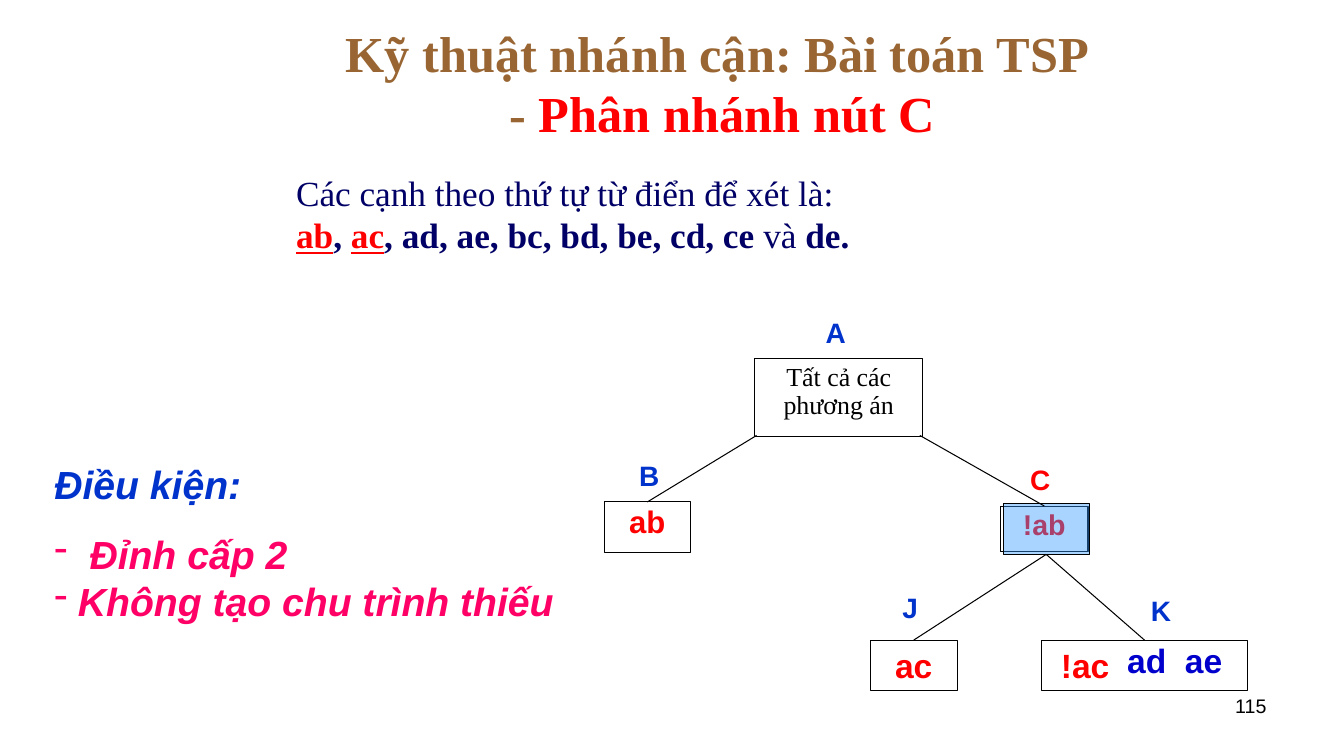
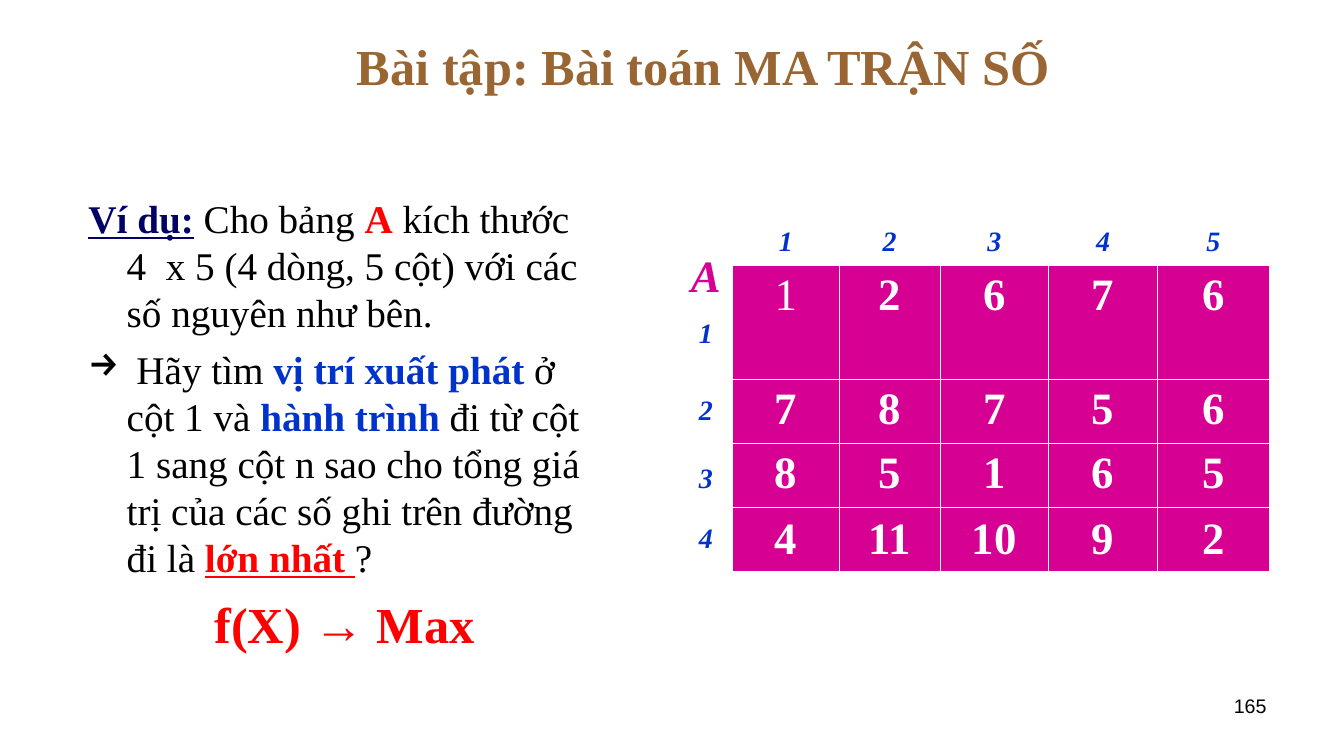
"""Build two lecture slides: a branch-and-bound tree and a number matrix."""
from dataclasses import dataclass, replace
from typing import Any

import lxml.etree
import pptx
import pptx.dml.color
import pptx.enum.shapes
import pptx.enum.text
import pptx.oxml.ns
import pptx.util

WIDTH, HEIGHT = 133.4, 75
UNIT = 0.1
SERIF, SANS = "Times New Roman", "Arial"
BROWN, RED, NAVY, BLUE = "996633", "FF0000", "000066", "0033CC"
BLACK, WHITE, ROSE, PLUM = "000000", "FFFFFF", "FF0066", "D60093"
SKY, DEEP = "3399FF", "0000CC"
ALIGN = pptx.enum.text.PP_ALIGN
ANCHOR = pptx.enum.text.MSO_ANCHOR
INSET = (1, 0.5, 1, 0.5)
Box = tuple[float, float, float, float]


@dataclass(frozen=True)
class Run:
    text: str
    size: float
    color: str = BLACK
    bold: bool = False
    slant: bool = False
    under: bool = False
    font: str = SERIF


@dataclass(frozen=True)
class Para:
    runs: tuple[Run, ...]
    align: Any = ALIGN.LEFT
    before: float = 0
    line: float = 1
    left: float = 0
    hang: float = 0
    mark: str = ""
    tint: str = BLACK


@dataclass(frozen=True)
class Node:
    name: str
    spot: tuple[float, float]
    box: Box
    run: Run
    tint: str = BLUE
    line: float = 0.9
    align: Any = ALIGN.CENTER
    inset: Box = INSET


def grid(count: float) -> int:
    return pptx.util.Inches(count * UNIT)


def shade(code: str) -> pptx.dml.color.RGBColor:
    return pptx.dml.color.RGBColor.from_string(code)


def add(root: Any, tag: str, **attrs: str) -> Any:
    return lxml.etree.SubElement(root, pptx.oxml.ns.qn(tag), **attrs)


def style(run: Any, look: Run) -> None:
    font = run.font
    font.name, font.size = look.font, pptx.util.Pt(look.size)
    font.bold, font.italic, font.underline = look.bold, look.slant, look.under
    font.color.rgb = shade(look.color)


def write(frame: Any, paras: tuple[Para, ...]) -> None:
    for spot, para in enumerate(paras):
        line = frame.add_paragraph() if spot else frame.paragraphs[0]
        props = line._p.get_or_add_pPr()
        props.set("marL", str(grid(para.left)))
        props.set("indent", str(-grid(para.hang)))
        if para.mark:
            add(add(props, "a:buClr"), "a:srgbClr", val=para.tint)
            add(props, "a:buChar", char=para.mark)
        line.alignment, line.line_spacing = para.align, para.line
        if para.before:
            line.space_before = pptx.util.Pt(para.before)
        for look in para.runs:
            for row, text in enumerate(look.text.split("\n")):
                if row:
                    line.add_line_break()
                if text:
                    run = line.add_run()
                    run.text = text
                    style(run, look)


def fit(frame: Any, inset: Box, anchor: Any) -> None:
    frame.word_wrap = True
    frame.vertical_anchor = anchor
    (frame.margin_left, frame.margin_top,
     frame.margin_right, frame.margin_bottom) = map(grid, inset)


def label(slide: Any, box: Box, *paras: Para, inset: Box = INSET,
          anchor: Any = ANCHOR.TOP) -> None:
    frame = slide.shapes.add_textbox(*map(grid, box)).text_frame
    fit(frame, inset, anchor)
    write(frame, paras)


def block(slide: Any, box: Box) -> Any:
    shape = slide.shapes.add_shape(
        pptx.enum.shapes.MSO_SHAPE.RECTANGLE, *map(grid, box))
    shape.shadow.inherit = False
    shape.fill.background()
    shape.line.color.rgb = shade(BLACK)
    shape.line.width = pptx.util.Pt(0.75)
    return shape


def node(slide: Any, item: Node) -> Any:
    shape = block(slide, item.box)
    fit(shape.text_frame, item.inset, ANCHOR.TOP)
    write(shape.text_frame, (Para((item.run,), item.align, line=item.line),))
    name = Run(item.name, 20, item.tint, True, font=SANS)
    label(slide, (*item.spot, 3.7, 4), Para((name,), ALIGN.CENTER),
          inset=(0, 0, 0, 0))
    return shape


def link(slide: Any, start: tuple[float, float], goal: Any, base: Any = None) -> None:
    x, y = map(grid, start)
    line = slide.shapes.add_connector(
        pptx.enum.shapes.MSO_CONNECTOR.STRAIGHT, x, y, x, y)
    if base is not None:
        line.begin_connect(base, 2)
    line.end_connect(goal, 0)
    line.line.color.rgb = shade(BLACK)
    line.line.width = pptx.util.Pt(0.75)
    add(line._element.spPr, "a:effectLst")


def page(deck: Any, box: Box, number: str, *title: Run) -> Any:
    slide = deck.slides.add_slide(deck.slide_layouts[6])
    label(slide, box, Para(title, ALIGN.CENTER), anchor=ANCHOR.MIDDLE)
    label(slide, (95.6, 68.3, 31.1, 5.2),
          Para((Run(number, 14, font=SANS),), ALIGN.RIGHT))
    return slide


def tree(deck: Any) -> None:
    head = Run("Kỹ thuật nhánh cận: Bài toán TSP \n- ", 36, BROWN, True)
    slide = page(deck, (16.7, 3, 110, 10.3), "115", head,
                 replace(head, text="Phân nhánh nút C", color=RED))
    plain = Run("Các cạnh theo thứ tự từ điển để xét là:\n", 25.2, NAVY)
    bold = replace(plain, bold=True)
    seen = replace(bold, color=RED, under=True)
    label(slide, (28.4, 16.5, 83.7, 10.1), Para((
        plain, replace(seen, text="ab"), replace(bold, text=", "),
        replace(seen, text="ac"),
        replace(bold, text=", ad, ae, bc, bd, be, cd, ce "),
        replace(plain, text="và"), replace(bold, text=" de."))))

    edge = Run("ab", 22.2, RED, True, font=SANS)
    node(slide, Node("A", (81.1, 31.3), (74.9, 35.6, 16.7, 7.7),
                     Run("Tất cả các phương án", 18.5)))
    with_ab = node(slide, Node("B", (62.6, 45.5), (60, 49.8, 8.5, 5), edge))
    no_ab = node(slide, Node("C", (101.4, 45.9), (99.3, 50.2, 8.7, 4.5),
                             replace(edge, text="!ab", size=20.4), RED))
    with_ac = node(slide, Node("J", (88.5, 58.6), (86.4, 63.5, 8.6, 5),
                               replace(edge, text="ac", size=24), line=1))
    no_ac = node(slide, Node("K", (113.4, 58.9), (103.4, 63.5, 20.4, 5),
                             replace(edge, text="!ac", size=24), line=1,
                             align=ALIGN.LEFT, inset=(1.9, 0.5, 1, 0.5)))
    label(slide, (110.9, 63, 14, 5.5),
          Para((Run("ad  ae", 24, DEEP, True, font=SANS),)))
    veil = block(slide, (99.6, 50, 8.5, 5))
    veil.fill.solid()
    veil.fill.fore_color.rgb = shade(SKY)
    tone = veil._element.spPr.find(".//" + pptx.oxml.ns.qn("a:srgbClr"))
    add(tone, "a:alpha", val="42000")
    link(slide, (75.1, 43.2), with_ab)
    link(slide, (91.3, 43.2), no_ab)
    for leaf in (with_ac, no_ac):
        link(slide, (103.8, 55), leaf, veil)

    rule = Run("Ðiều kiện:", 28, BLUE, True, True, font=SANS)
    item = replace(rule, color=ROSE)
    label(slide, (4.4, 45.2, 54.5, 17.4), Para((rule,)),
          Para((replace(item, text="Đỉnh cấp 2"),), before=16,
               left=3.5, hang=3.5, mark="-", tint=ROSE),
          Para((replace(item, text="Không tạo chu trình thiếu"),),
               left=2.35, hang=2.35, mark="-", tint=ROSE))


def edges(cell: Any) -> None:
    props = cell._tc.get_or_add_tcPr()
    for side in "LRTB":
        line = add(props, f"a:ln{side}", w=str(pptx.util.Pt(0.45)))
        add(add(line, "a:solidFill"), "a:srgbClr", val=WHITE)


def matrix(slide: Any) -> None:
    wide = (5.3, 10.6, 10, 10.8, 10.8, 11.1)
    tall = (4.3, 11.3, 6.3, 6.3, 6.3)
    rows = (("A", "1", "2", "3", "4", "5"),
            ("", "1", "2", "6", "7", "6"),
            ("2", "7", "8", "7", "5", "6"),
            ("3", "8", "5", "1", "6", "5"),
            ("4", "4", "11", "10", "9", "2"))
    table = slide.shapes.add_table(
        len(tall), len(wide), grid(67.4), grid(22),
        grid(sum(wide)), grid(sum(tall))).table
    table.first_row = table.horz_banding = False
    for col, size in zip(table.columns, wide):
        col.width = grid(size)
    for row, size in zip(table.rows, tall):
        row.height = grid(size)
    table.cell(0, 0).merge(table.cell(1, 0))
    index = Run("1", 20, BLUE, True, True)
    value = Run("1", 32, WHITE, True)
    for y, row in enumerate(rows):
        for x, text in enumerate(row):
            cell = table.cell(y, x)
            edges(cell)
            inner = x > 0 and y > 0
            if inner:
                cell.fill.solid()
                cell.fill.fore_color.rgb = shade(PLUM)
            else:
                cell.fill.background()
            if x == 0 or y == len(rows) - 1:
                cell.vertical_anchor = ANCHOR.MIDDLE
            if not text:
                continue
            look = replace(value if inner else index, text=text)
            if (x, y) == (1, 1):
                look = replace(look, bold=False)
            paras = (Para((look,), ALIGN.CENTER),)
            if x == y == 0:
                paras = (Para((replace(look, size=32, color=PLUM),), ALIGN.CENTER),
                         Para((index,), ALIGN.CENTER, before=11.5))
            write(cell.text_frame, paras)
    table.cell(3, 0).margin_top = grid(1.3)


def task(deck: Any) -> None:
    slide = page(deck, (29.2, 3, 82.5, 6.9), "165",
                 Run("Bài tập: Bài toán MA TRẬN SỐ ", 36, BROWN, True))
    matrix(slide)
    goal = Run("f(X) ", 36, RED, True)
    label(
        slide, (7.8, 18.8, 51.4, 51.2),
        Para((Run("Ví dụ:", 28, NAVY, True, under=True),
              Run(" Cho bảng ", 28), Run("A", 28, RED, True),
              Run(" kích thước 4  x 5 (4 dòng, 5 cột) với các số nguyên "
                  "như bên.", 28)), left=3.8, hang=3.8),
        Para((Run(" Hãy tìm ", 28), Run("vị trí xuất phát", 28, BLUE, True),
              Run(" ở cột 1 và ", 28), Run("hành trình ", 28, BLUE, True),
              Run("đi từ cột 1 sang cột n sao cho tổng giá trị của các số "
                  "ghi trên đường đi là ", 28),
              Run("lớn nhất ", 28, RED, True, under=True), Run("?", 28)),
             before=7, left=3.8, hang=3.8, mark="→"),
        Para((goal, replace(goal, text="→", font=SANS),
              replace(goal, text=" Max")), before=9, left=12.5))


def main() -> None:
    deck = pptx.Presentation()
    deck.slide_width, deck.slide_height = grid(WIDTH), grid(HEIGHT)
    tree(deck)
    task(deck)
    deck.save("out.pptx")


if __name__ == "__main__":
    main()
